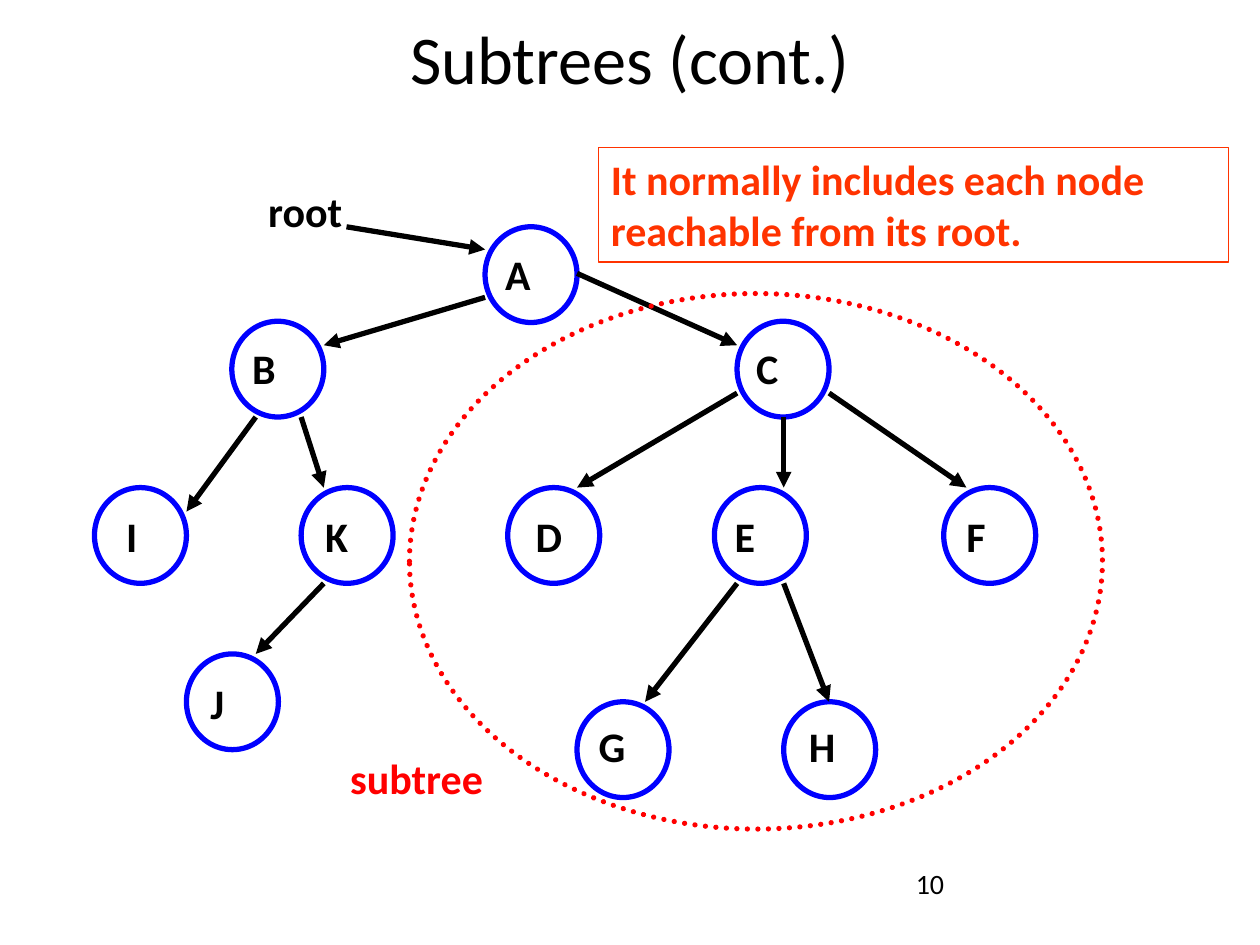
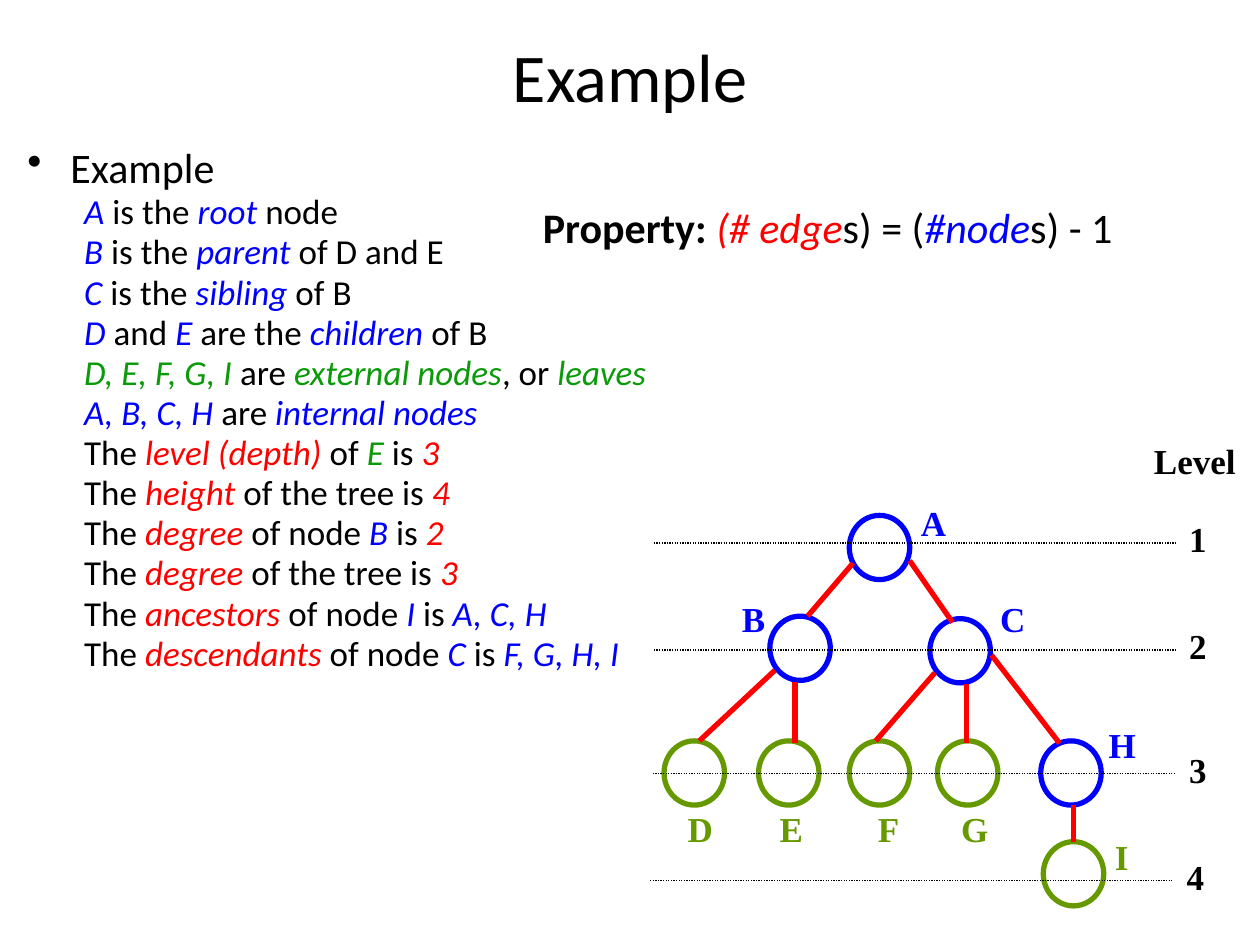
from pptx import Presentation
from pptx.dml.color import RGBColor
from pptx.enum.dml import MSO_LINE
from pptx.enum.shapes import MSO_CONNECTOR, MSO_SHAPE
from pptx.enum.text import MSO_ANCHOR, PP_ALIGN
from pptx.oxml.ns import qn
from pptx.util import Inches, Pt
from lxml.etree import SubElement

BLACK = RGBColor(0x00, 0x00, 0x00)
WHITE = RGBColor(0xFF, 0xFF, 0xFF)
BLUE = RGBColor(0x00, 0x00, 0xFF)
RED = RGBColor(0xFF, 0x00, 0x00)
ORANGE = RGBColor(0xFF, 0x33, 0x00)
GREEN = RGBColor(0x0A, 0x9A, 0x0A)
OLIVE = RGBColor(0x66, 0x99, 0x00)
SANS = "Calibri"
SERIF = "Times New Roman"


def add_text(s, box, text, size, color=BLACK, bold=False, font=SANS, wrap=True):
    """Add a one-paragraph text box and return its text frame."""
    tf = s.shapes.add_textbox(*map(Inches, box)).text_frame
    tf.word_wrap = wrap
    tf.text = text
    f = tf.paragraphs[0].runs[0].font
    f.name, f.size, f.bold, f.color.rgb = font, Pt(size), bold, color
    return tf


def add_line(s, ends, color, width=3, arrow=False):
    """Add a straight line given as x1, y1, x2, y2 and return it."""
    line = s.shapes.add_connector(MSO_CONNECTOR.STRAIGHT, *map(Inches, ends))
    line.line.color.rgb = color
    line.line.width = Pt(width)
    spPr = line.element.spPr
    if arrow:
        SubElement(spPr.find(qn("a:ln")), qn("a:tailEnd"), type="triangle")
    SubElement(spPr, qn("a:effectLst"))
    return line


prs = Presentation()
prs.slide_width, prs.slide_height = Inches(10), Inches(7.5)

# Slides with their titles
slides = []
for title, top in [("Subtrees (cont.)", 0.08), ("Example", 0.22)]:
    s = prs.slides.add_slide(prs.slide_layouts[6])
    tf = add_text(s, (0.5, top, 9, 1.25), title, 39)
    tf.paragraphs[0].alignment = PP_ALIGN.CENTER
    slides.append(s)
subtrees, example = slides

# Slide 1: tree nodes as letter, circle left and top, label left and top
add_text(subtrees, (7.17, 6.83, 2.33, 0.52), "10", 16)
NODES = [
    ("A", 3.85, 1.8, 3.76, 1.92),
    ("B", 1.84, 2.55, 1.75, 2.67),
    ("C", 5.85, 2.55, 5.75, 2.67),
    ("I", 0.75, 3.87, 0.75, 4),
    ("K", 2.39, 3.87, 2.33, 4),
    ("D", 4.03, 3.87, 4, 4),
    ("E", 5.67, 3.87, 5.58, 4),
    ("F", 7.49, 3.87, 7.42, 4),
    ("J", 1.48, 5.19, 1.42, 5.33),
    ("G", 4.58, 5.57, 4.5, 5.67),
    ("H", 6.22, 5.57, 6.17, 5.67),
]
for letter, x, y, label_x, label_y in NODES:
    sp = subtrees.shapes.add_shape(
        MSO_SHAPE.OVAL, Inches(x), Inches(y), Inches(0.73), Inches(0.76))
    sp.shadow.inherit = False
    sp.fill.solid()
    sp.fill.fore_color.rgb = WHITE
    sp.line.color.rgb = BLUE
    sp.line.width = Pt(3)
    tf = add_text(subtrees, (label_x, label_y, 0.91, 0.75), letter, 24, bold=True)
    tf.margin_left = Inches(0.25)

ARROWS = [
    (3.85, 2.36, 2.57, 2.74),  # A to B
    (2.03, 3.31, 1.48, 4.06),  # B to I
    (2.39, 3.31, 2.57, 3.87),  # B to K
    (2.57, 4.63, 2.03, 5.19),  # K to J
    (4.58, 2.17, 5.85, 2.74),  # A to C
    (5.85, 3.12, 4.58, 3.87),  # C to D
    (6.22, 3.31, 6.22, 3.87),  # C to E
    (6.58, 3.12, 7.67, 3.87),  # C to F
    (5.85, 4.63, 5.12, 5.57),  # E to G
    (6.22, 4.63, 6.58, 5.57),  # E to H
    (2.75, 1.8, 3.85, 1.98),   # root to A
]
for ends in ARROWS:
    add_line(subtrees, ends, BLACK, arrow=True)

# Dotted outline around the subtree
sp = subtrees.shapes.add_shape(
    MSO_SHAPE.OVAL, Inches(3.25), Inches(2.33), Inches(5.5), Inches(4.25))
sp.shadow.inherit = False
sp.fill.background()
sp.line.color.rgb = RED
sp.line.width = Pt(3)
sp.line.dash_style = MSO_LINE.ROUND_DOT
sp.element.spPr.find(qn("a:ln")).set("cap", "rnd")
add_text(subtrees, (2.68, 5.92, 1.82, 0.57), "subtree", 24, RED, bold=True)
add_text(subtrees, (2.03, 1.42, 1.09, 0.57), "root", 24, bold=True)

# Framed remark
sp = subtrees.shapes.add_shape(
    MSO_SHAPE.RECTANGLE, Inches(4.75), Inches(1.17), Inches(5), Inches(0.91))
sp.shadow.inherit = False
sp.fill.background()
sp.line.color.rgb = ORANGE
sp.line.width = Pt(0.75)
tf = sp.text_frame
tf.word_wrap = True
tf.vertical_anchor = MSO_ANCHOR.TOP
tf.text = "It normally includes each node reachable from its root."
p = tf.paragraphs[0]
p.alignment = PP_ALIGN.LEFT
f = p.runs[0].font
f.name, f.size, f.bold, f.color.rgb = SANS, Pt(24), True, ORANGE

# Slide 2: bullet and its lines; coloured runs are italic
FACTS = [
    [("A ", BLUE), ("is the ", BLACK), ("root ", BLUE), ("node", BLACK)],
    [("B ", BLUE), ("is the ", BLACK), ("parent ", BLUE), ("of D and E", BLACK)],
    [("C ", BLUE), ("is the ", BLACK), ("sibling ", BLUE), ("of B", BLACK)],
    [("D ", BLUE), ("and ", BLACK), ("E ", BLUE), ("are the ", BLACK),
     ("children ", BLUE), ("of B", BLACK)],
    [("D, E, F, G, I", GREEN), (" are ", BLACK), ("external nodes", GREEN),
     (", or ", BLACK), ("leaves", GREEN)],
    [("A, B, C, H ", BLUE), ("are ", BLACK), ("internal nodes", BLUE)],
    [("The ", BLACK), ("level (depth) ", RED), ("of ", BLACK), ("E ", GREEN),
     ("is ", BLACK), ("3", RED)],
    [("The ", BLACK), ("height ", RED), ("of the tree is ", BLACK), ("4", RED)],
    [("The ", BLACK), ("degree ", RED), ("of node ", BLACK), ("B ", BLUE),
     ("is ", BLACK), ("2", RED)],
    [("The ", BLACK), ("degree ", RED), ("of the tree is ", BLACK), ("3", RED)],
    [("The ", BLACK), ("ancestors ", RED), ("of node ", BLACK), ("I ", BLUE),
     ("is", BLACK), (" A, C, H", BLUE)],
    [("The ", BLACK), ("descendants ", RED), ("of node ", BLACK), ("C ", BLUE),
     ("is ", BLACK), ("F, G, H, I", BLUE)],
]
tf = add_text(example, (0.12, 1.15, 9, 4.49), "Example", 24)
p = tf.paragraphs[0]
p.line_spacing = 0.8
pPr = p._p.get_or_add_pPr()
pPr.set("marL", str(Inches(0.34)))
pPr.set("indent", str(-Inches(0.34)))
SubElement(pPr, qn("a:buChar"), char="•")
for fact in FACTS:
    p = tf.add_paragraph()
    p.level = 1
    p.line_spacing = 0.8
    p.space_before = Pt(3.7)
    pPr = p._p.get_or_add_pPr()
    pPr.set("marL", str(Inches(0.73)))
    pPr.set("indent", str(-Inches(0.28)))
    SubElement(pPr, qn("a:buNone"))
    for text, color in fact:
        r = p.add_run()
        r.text = text
        f = r.font
        f.name, f.size, f.italic, f.color.rgb = SANS, Pt(20), color != BLACK, color

# Tree nodes as letter, colour, circle left and top, label left and top
LEVEL_NODES = [
    ("A", BLUE, 6.74, 4.09, 7.21, 3.93),
    ("B", BLUE, 6.11, 4.89, 5.79, 4.69),
    ("C", BLUE, 7.38, 4.91, 7.84, 4.69),
    ("D", OLIVE, 5.27, 5.88, 5.36, 6.36),
    ("E", OLIVE, 6.02, 5.88, 6.09, 6.36),
    ("F", OLIVE, 6.74, 5.88, 6.87, 6.36),
    ("G", OLIVE, 7.44, 5.88, 7.53, 6.36),
    ("H", BLUE, 8.26, 5.88, 8.7, 5.69),
    ("I", OLIVE, 8.28, 6.68, 8.75, 6.58),
]
for letter, color, x, y, label_x, label_y in LEVEL_NODES:
    sp = example.shapes.add_shape(
        MSO_SHAPE.OVAL, Inches(x), Inches(y), Inches(0.48), Inches(0.51))
    sp.shadow.inherit = False
    sp.fill.background()
    sp.line.color.rgb = color
    sp.line.width = Pt(3)
    add_text(example, (label_x, label_y, 0.4, 0.43), letter, 20, color,
             bold=True, font=SERIF, wrap=False)

EDGES = [
    (6.77, 4.47, 6.41, 4.89),  # A to B
    (7.22, 4.45, 7.56, 4.94),  # A to C
    (6.15, 5.32, 5.55, 5.88),  # B to D
    (6.31, 5.41, 6.31, 5.9),   # B to E
    (7.42, 5.34, 6.95, 5.88),  # C to F
    (7.67, 5.43, 7.67, 5.9),   # C to G
    (7.87, 5.2, 8.41, 5.9),    # C to H
    (8.52, 6.39, 8.52, 6.68),  # H to I
]
for ends in EDGES:
    add_line(example, ends, RED)

# Level rules with their numbers
add_text(example, (9.06, 3.44, 0.85, 0.43), "Level", 20, bold=True,
         font=SERIF, wrap=False)
LEVELS = [(5.19, 4.31, 9.34), (5.19, 5.16, 9.34), (5.18, 6.14, 9.34), (5.16, 6.99, 9.32)]
for number, (x, y, number_x) in enumerate(LEVELS, 1):
    line = add_line(example, (x, y, x + 4.15, y), BLACK, width=0.75)
    line.line.dash_style = MSO_LINE.ROUND_DOT
    add_text(example, (number_x, y - 0.25, 0.34, 0.43), str(number), 20,
             bold=True, font=SERIF, wrap=False)

# Property formula
tf = add_text(example, (4.21, 1.55, 5.36, 0.5), "Property: ", 24, bold=True, wrap=False)
for text, color in [("(# edge", RED), ("s) = (", BLACK), ("#node", BLUE), ("s) - 1", BLACK)]:
    r = tf.paragraphs[0].add_run()
    r.text = text
    f = r.font
    f.name, f.size, f.italic, f.color.rgb = SANS, Pt(24), color != BLACK, color

prs.save("out.pptx")
